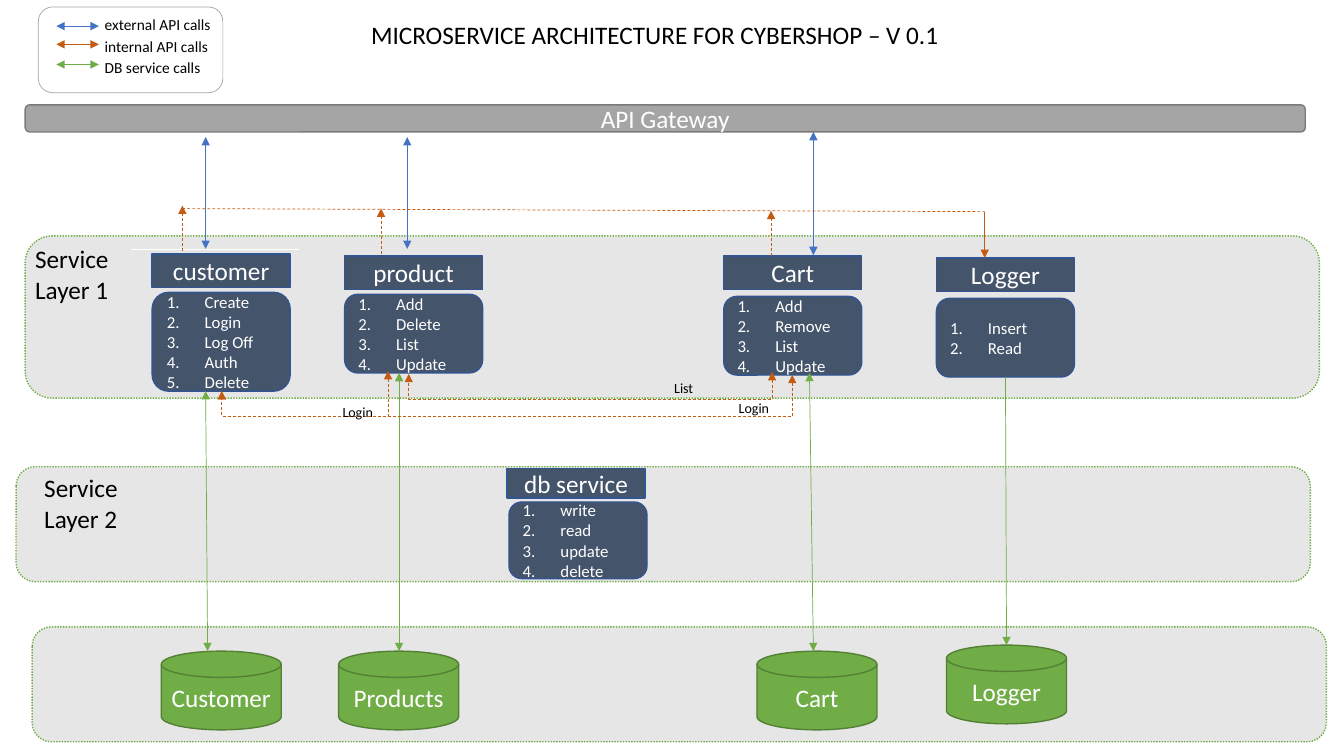
from lxml import etree
from pptx import Presentation
from pptx.dml.color import RGBColor
from pptx.enum import dml, shapes, text
from pptx.oxml import ns
from pptx.util import Pt

BLACK = RGBColor(0x00, 0x00, 0x00)
WHITE = RGBColor(0xFF, 0xFF, 0xFF)
PALE = RGBColor(0xE7, 0xE6, 0xE6)
GRAY = RGBColor(0xA5, 0xA5, 0xA5)
DARK = RGBColor(0x7A, 0x7A, 0x7A)
SLATE = RGBColor(0x44, 0x54, 0x6A)
NAVY = RGBColor(0x32, 0x54, 0x91)
BLUE = RGBColor(0x44, 0x72, 0xC4)
GREEN = RGBColor(0x70, 0xAD, 0x47)
MOSS = RGBColor(0x53, 0x80, 0x35)
RUST = RGBColor(0xC5, 0x5A, 0x11)

FONT = "Calibri"
KIND = shapes.MSO_SHAPE
DASH = dml.MSO_LINE.DASH
DOT = dml.MSO_LINE.ROUND_DOT

TITLE = "MICROSERVICE ARCHITECTURE FOR CYBERSHOP – V 0.1"
# left, top, height
BANDS = [(11.5, 333.4, 82.1), (18, 168.5, 115.9), (23, 447.8, 82.1)]
BAND_W = 924.5
# name, header left, top, height, body left, top, height, steps
SERVICES = [
    ("customer", 108.7, 181.4, 23.8, 108.7, 208.8, 70.6,
     ["Create", "Login", "Log Off", "Auth", "Delete"]),
    ("product", 246.2, 182.9, 23.8, 246.2, 210.2, 56.2,
     ["Add", "Delete", "List", "Update"]),
    ("Cart", 517, 182.9, 23.8, 517, 211.7, 56.2,
     ["Add", "Remove", "List", "Update"]),
    ("Logger", 668.9, 184.3, 23.8, 668.9, 213.1, 56.2, ["Insert", "Read"]),
    ("db service", 362.2, 334.8, 20.9, 363.6, 358.6, 54.7,
     ["write", "read", "update", "delete"]),
]
BOX_W = 98.6
STORES = [("Customer", 115.2, 465.1), ("Products", 241.9, 465.1),
          ("Cart", 540.7, 465.1), ("Logger", 676.1, 460.8)]
STORE_W, STORE_H = 85.7, 56.2
# label, line height, label top, colour
LEGEND = [("external API calls", 18.7, 7.2, BLUE),
          ("internal API calls", 31.7, 23, RUST),
          ("DB service calls", 46.1, 38.2, GREEN)]
# x, top, bottom
OUTER = [(146.9, 97.9, 177.8), (290.9, 97.9, 177.8), (581, 94.3, 182.2)]
INNER = [(130.3, 146.9, 180.7), (272.2, 149, 182.2), (550.8, 150.5, 183.6)]
# start x, y, end x, y
QUERIES = [(146.9, 279.4, 148.3, 465.1), (285.1, 465.1, 285.1, 266.4),
           (578.2, 266.4, 581, 465.1)]
# right x, y, left x, y, lowest y
LOOPS = [(277.2, 265, 158.4, 279.4, 297.4),
         (565.9, 267.8, 158.4, 279.4, 297.4),
         (551.5, 265.7, 292, 267.1, 285.1)]
# lines, left, top, width, height, size
LABELS = [
    (["Service", "Layer 1"], 18, 170.6, 104.4, 51.1, 18),
    (["Service Layer 2"], 24.5, 334.1, 104.4, 51.1, 18),
    (["Login"], 237.6, 284.4, 57.6, 19.4, 10),
    (["Login"], 520.6, 282.2, 57.6, 19.4, 10),
    (["List"], 474.5, 267.8, 57.6, 19.4, 10),
]

deck = Presentation()
deck.slide_width, deck.slide_height = Pt(960), Pt(540)
slide = deck.slides.add_slide(deck.slide_layouts[5])


def write(shape, lines, size, color, align=text.PP_ALIGN.LEFT):
    frame = shape.text_frame
    frame.text = "\n".join(lines)
    frame.word_wrap = True
    for par in frame.paragraphs:
        par.alignment = align
        par.font.size, par.font.name = Pt(size), FONT
        par.font.color.rgb = color


def place(kind, left, top, width, height, fill, edge, weight=1):
    shape = slide.shapes.add_shape(kind, Pt(left), Pt(top), Pt(width), Pt(height))
    shape.shadow.inherit = False
    shape.fill.solid()
    shape.fill.fore_color.rgb = fill
    shape.line.color.rgb = edge
    shape.line.width = Pt(weight)
    shape.text_frame.vertical_anchor = text.MSO_ANCHOR.MIDDLE
    return shape


def caption(shape, name):
    write(shape, [name], 18, WHITE, text.PP_ALIGN.CENTER)


def label(lines, left, top, width, height, size):
    box = slide.shapes.add_textbox(Pt(left), Pt(top), Pt(width), Pt(height))
    write(box, lines, size, BLACK)


def number(shape):
    """Turn the paragraphs of a shape into a numbered list."""
    for par in shape.text_frame.paragraphs:
        props = par._p.get_or_add_pPr()
        props.set("marL", str(Pt(27)))
        props.set("indent", str(-Pt(27)))
        etree.SubElement(props, ns.qn("a:buFont"), typeface="+mj-lt")
        etree.SubElement(props, ns.qn("a:buAutoNum"), type="arabicPeriod")


def link(x1, y1, x2, y2, color, ends=("headEnd", "tailEnd"), dash=None,
         kind=shapes.MSO_CONNECTOR.STRAIGHT):
    line = slide.shapes.add_connector(kind, Pt(x1), Pt(y1), Pt(x2), Pt(y2))
    line.line.color.rgb = color
    line.line.width = Pt(0.5)
    if dash:
        line.line.dash_style = dash
    props = line._element.spPr
    for end in ends:
        etree.SubElement(props.find(ns.qn("a:ln")), ns.qn("a:" + end), type="triangle")
    etree.SubElement(props, ns.qn("a:effectLst"))
    return line


def loop(x1, y1, x2, y2, low):
    """Draw an elbow that drops to low and rises again at the left."""
    drop, span = y2 - y1, x1 - x2
    left, top = (x1 + x2 - drop) / 2, (y1 + y2 - span) / 2
    line = link(left, top, left + drop, top + span, RUST, dash=DASH,
                kind=shapes.MSO_CONNECTOR.ELBOW)
    props = line._element.spPr
    props.find(ns.qn("a:xfrm")).set("rot", "5400000")
    geom = props.find(ns.qn("a:prstGeom"))
    guides = geom.find(ns.qn("a:avLst"))
    if guides is None:
        guides = etree.SubElement(geom, ns.qn("a:avLst"))
    ratio = round((low - y1) / drop * 100000)
    etree.SubElement(guides, ns.qn("a:gd"), name="adj1", fmla=f"val {ratio}")


title = slide.shapes.title
title.left, title.top, title.width, title.height = Pt(257.8), Pt(10.1), Pt(450), Pt(28.8)
write(title, [TITLE], 18, BLACK)
title.text_frame.auto_size = text.MSO_AUTO_SIZE.NONE
title.text_frame.vertical_anchor = text.MSO_ANCHOR.TOP

for left, top, height in BANDS:
    band = place(KIND.FLOWCHART_ALTERNATE_PROCESS, left, top, BAND_W, height, PALE, GREEN)
    band.line.dash_style = DOT
place(KIND.FLOWCHART_ALTERNATE_PROCESS, 27.4, 5, 131.8, 61.2, WHITE, GRAY, 0.5)
caption(place(KIND.ROUNDED_RECTANGLE, 18, 74.9, 914.4, 19.4, GRAY, DARK), "API Gateway")
link(93.6, 177.8, 213.8, 177.8, WHITE, ())

bodies = {}
for name, left, top, height, x, y, tall, steps in SERVICES:
    body = place(KIND.FLOWCHART_ALTERNATE_PROCESS, x, y, BOX_W, tall, SLATE, NAVY)
    write(body, steps, 12, WHITE)
    number(body)
    bodies[name] = body
    caption(place(KIND.FLOWCHART_PROCESS, left, top, BOX_W, height, SLATE, NAVY), name)

for name, left, top in STORES:
    caption(place(KIND.FLOWCHART_MAGNETIC_DISK, left, top, STORE_W, STORE_H, GREEN, MOSS), name)

for x, top, low in OUTER:
    link(x, top, x, low, BLUE)
for x, top, low in INNER:
    link(x, top, x, low, RUST, ("headEnd",), DASH)
link(130.3, 149, 703.4, 151.2, RUST, (), DASH)
link(703.4, 151.2, 703.4, 184.3, RUST, ("tailEnd",))
for ends in QUERIES:
    link(*ends, GREEN)
log = link(718.2, 269.3, 719, 460.8, GREEN, ("tailEnd",))
log.begin_connect(bodies["Logger"], 2)
for turn in LOOPS:
    loop(*turn)

for name, y, top, color in LEGEND:
    link(40.3, y, 70.6, y, color)
    label([name], 67.7, top, 150, 20.9, 11)
for item in LABELS:
    label(*item)

deck.save("out.pptx")
